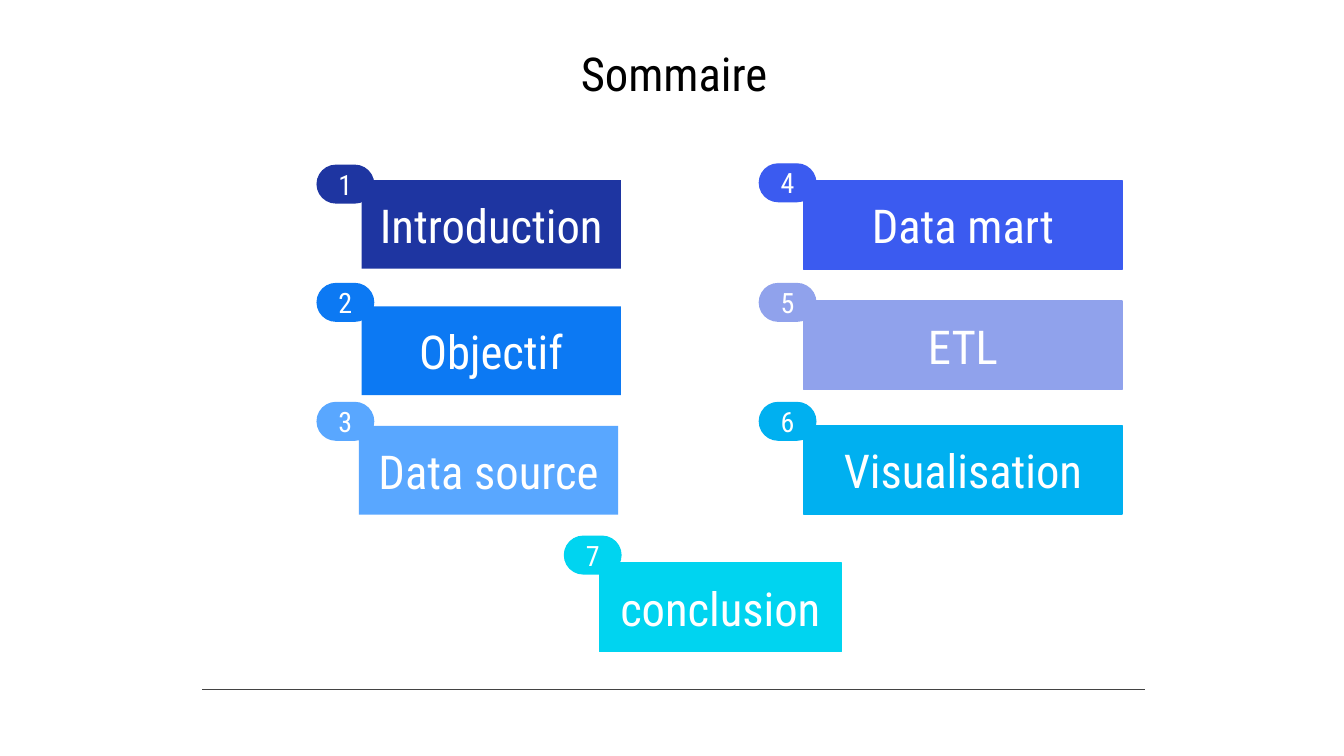
from pptx import Presentation
from pptx.dml.color import RGBColor
from pptx.enum.shapes import MSO_CONNECTOR, MSO_SHAPE
from pptx.enum.text import MSO_ANCHOR, PP_ALIGN
from pptx.oxml.ns import qn
from pptx.util import Pt
from lxml import etree

PX = 4572  # EMU per px, 200 px to the inch
ROUNDED = MSO_SHAPE.ROUNDED_RECTANGLE
STRAIGHT = MSO_CONNECTOR.STRAIGHT
MIDDLE = MSO_ANCHOR.MIDDLE
CENTER = PP_ALIGN.CENTER

FONT = "Roboto Condensed"
WHITE, BLACK, GREY = "FFFFFF", "000000", "434343"
INSET = 20
BADGE_W, BADGE_H = 84, 56
LABEL_H = 132

# Box of each entry (left, top, width, height), offset of its label, outlined label
ENTRIES = [
    ("Introduction", "1E35A1", (472, 246, 452, 154), 66, False),
    ("Objectif", "0C79F3", (472, 422, 452, 166), 66, False),
    ("Data source", "59A7FF", (472, 599, 448, 167), 62, False),
    ("Data mart", "3B5BF0", (1130, 244, 540, 157), 66, True),
    ("ETL", "90A2EC", (1130, 422, 540, 158), 66, True),
    ("Visualisation", "00B0F0", (1130, 599, 540, 166), 66, True),
    ("conclusion", "00D4F0", (840, 798, 412, 172), 52, True),
]


def emu(*lengths):
    return [length * PX for length in lengths]


def rgb(color):
    return RGBColor.from_string(color)


def write(frame, text, size, color):
    frame.word_wrap = True
    frame.vertical_anchor = MIDDLE
    frame.margin_left = frame.margin_right = INSET * PX
    frame.margin_top = frame.margin_bottom = INSET * PX
    frame.text = text
    paragraph = frame.paragraphs[0]
    paragraph.alignment = CENTER
    paragraph.font.name = FONT
    paragraph.font.size = Pt(size)
    paragraph.font.color.rgb = rgb(color)


def add_title(slide, box, text):
    title = slide.shapes.title
    title.left, title.top, title.width, title.height = emu(*box)
    write(title.text_frame, text, 25, BLACK)


def add_block(slide, box, text, size, color, rounding, outlined):
    block = slide.shapes.add_shape(ROUNDED, *emu(*box))
    block.adjustments[0] = rounding
    block.shadow.inherit = False
    block.fill.solid()
    block.fill.fore_color.rgb = rgb(color)
    if outlined:
        block.line.color.rgb = rgb(color)
        block.line.width = Pt(0.75)
    else:
        block.line.fill.background()
    write(block.text_frame, text, size, WHITE)


def add_entry(slide, box, number, text, color, label_offset, outlined):
    """Number badge at the top left of the box, label at its bottom right."""
    left, top, width, height = box
    badge = (left, top, BADGE_W, BADGE_H)
    label = (left + label_offset, top + height - LABEL_H,
             width - label_offset, LABEL_H)
    add_block(slide, badge, str(number), 15, color, 0.5, True)
    add_block(slide, label, text, 25, color, 0, outlined)


def add_footer_rule(slide, left, top, width):
    rule = slide.shapes.add_connector(
        STRAIGHT, *emu(left, top, left + width, top))
    rule.line.color.rgb = rgb(GREY)
    rule.line.width = Pt(0.75)
    etree.SubElement(rule._element.spPr, qn("a:effectLst"))


def main():
    prs = Presentation()
    prs.slide_width, prs.slide_height = emu(2000, 1125)
    slide = prs.slides.add_slide(prs.slide_layouts[5])
    add_title(slide, (106, 56, 1794, 106), "Sommaire")
    add_footer_rule(slide, 301, 1026, 1403)
    for number, (text, color, box, offset, outlined) in enumerate(ENTRIES, 1):
        add_entry(slide, box, number, text, color, offset, outlined)
    prs.save("out.pptx")


if __name__ == "__main__":
    main()
